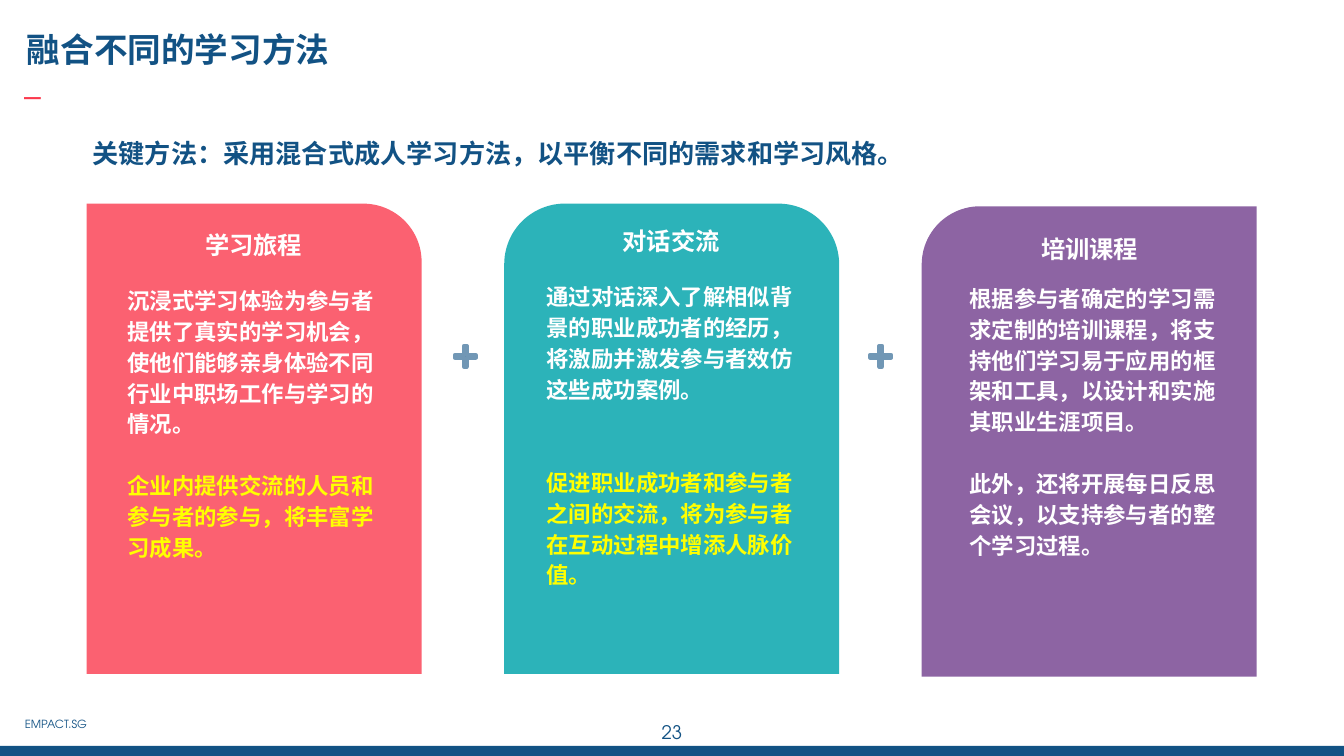
import pptx
import pptx.dml.color
import pptx.enum.shapes
import pptx.enum.text
import pptx.oxml.ns
import pptx.util
from lxml import etree

Cm, Pt = pptx.util.Cm, pptx.util.Pt
RGBColor = pptx.dml.color.RGBColor
Shape = pptx.enum.shapes.MSO_SHAPE
Align = pptx.enum.text.PP_ALIGN
Anchor = pptx.enum.text.MSO_ANCHOR

NAVY = RGBColor(0x12, 0x52, 0x84)
STEEL = RGBColor(0x71, 0x97, 0xB5)
RED = RGBColor(0xFB, 0x39, 0x4D)
CORAL = RGBColor(0xFB, 0x61, 0x71)
TEAL = RGBColor(0x2C, 0xB3, 0xB9)
PURPLE = RGBColor(0x8D, 0x64, 0xA3)
WHITE = RGBColor(0xFF, 0xFF, 0xFF)
YELLOW = RGBColor(0xFF, 0xFF, 0x00)

CHINESE = "Noto Sans CJK SC"
LATIN = "TeX Gyre Adventor"
BODY_LINE = 16.6

# Boxes are (left, top, width, height) in cm; heading and body are relative to the card.
CARDS = [
    dict(box=(1.64, 3.85, 6.33, 8.89), outline=Shape.ROUND_1_RECTANGLE,
         corners=[0.174], flip=False, color=CORAL,
         heading="学习旅程", heading_box=(0.64, 0.26, 5.03, 0.99), anchor=Anchor.TOP,
         body_box=(0.52, 1.25, 5.38, 7.29), blank_lines=1, second_color=YELLOW,
         body=["沉浸式学习体验为参与者提供了真实的学习机会，使他们能够亲身体验不同行业中职场工作与学习的情况。",
               "企业内提供交流的人员和参与者的参与，将丰富学习成果。"]),
    dict(box=(9.53, 3.85, 6.33, 8.89), outline=Shape.ROUND_2_SAME_RECTANGLE,
         corners=[0.181, 0], flip=False, color=TEAL,
         heading="对话交流", heading_box=(0.83, 0.21, 4.65, 0.99), anchor=Anchor.MIDDLE,
         body_box=(0.55, 1.18, 5.26, 7.34), blank_lines=2, second_color=YELLOW,
         body=["通过对话深入了解相似背景的职业成功者的经历，将激励并激发参与者效仿这些成功案例。",
               "促进职业成功者和参与者之间的交流，将为参与者在互动过程中增添人脉价值。"]),
    dict(box=(17.42, 3.9, 6.33, 8.89), outline=Shape.ROUND_1_RECTANGLE,
         corners=[0.174], flip=True, color=PURPLE,
         heading="培训课程", heading_box=(0.72, 0.26, 4.9, 1.07), anchor=Anchor.MIDDLE,
         body_box=(0.65, 1.16, 5.26, 7.26), blank_lines=1, second_color=WHITE,
         body=["根据参与者确定的学习需求定制的培训课程，将支持他们学习易于应用的框架和工具，以设计和实施其职业生涯项目。",
               "此外，还将开展每日反思会议，以支持参与者的整个学习过程。"]),
]


def lengths(box):
    return [Cm(value) for value in box]


def inside(outer, inner):
    """Turn a box relative to outer into a page box."""
    return (outer[0] + inner[0], outer[1] + inner[1], inner[2], inner[3])


def set_frame(frame, margin=0.25, anchor=Anchor.TOP):
    frame.word_wrap = True
    frame.auto_size = pptx.enum.text.MSO_AUTO_SIZE.NONE
    frame.margin_left = frame.margin_right = Cm(margin)
    frame.margin_top = frame.margin_bottom = Cm(margin)
    frame.vertical_anchor = anchor


def format_para(para, size, color, font=CHINESE, bold=True, align=Align.LEFT):
    para.alignment = align
    for span in para.runs:
        span.font.size = Pt(size)
        span.font.bold = bold
        span.font.name = font
        span.font.color.rgb = color
        east_asian = etree.SubElement(span.font._element, pptx.oxml.ns.qn("a:ea"))
        east_asian.set("typeface", font)


def add_filled(shapes, outline, box, color):
    shape = shapes.add_shape(outline, *lengths(box))
    shape.shadow.inherit = False
    shape.fill.solid()
    shape.fill.fore_color.rgb = color
    shape.line.fill.background()
    return shape


def add_label(page, box, text, size, color, margin=0, **style):
    label = page.shapes.add_textbox(*lengths(box))
    set_frame(label.text_frame, margin)
    label.text_frame.text = text
    format_para(label.text_frame.paragraphs[0], size, color, **style)


def add_title(page, box, text):
    title = page.shapes.title
    title.left, title.top, title.width, title.height = lengths(box)
    set_frame(title.text_frame)
    title.text_frame.text = text
    para = title.text_frame.paragraphs[0]
    format_para(para, 18, NAVY)
    para.line_spacing = 1.0


def add_footer(page, box):
    left, top, width, height = box
    plain = dict(font=LATIN, bold=False)
    add_label(page, (left + 11.94, top, 1.52, 1.09), "23", 10, NAVY,
              margin=0.25, align=Align.CENTER, **plain)
    add_label(page, (left + 0.47, top + 0.19, 1.85, 0.3), "EMPACT.SG", 6, NAVY, **plain)
    add_filled(page.shapes, Shape.RECTANGLE, (left, top + height - 0.19, width, 0.19), NAVY)


def add_card(page, card):
    shapes = page.shapes.add_group_shape().shapes
    panel = add_filled(shapes, card["outline"], card["box"], card["color"])
    for index, corner in enumerate(card["corners"]):
        panel.adjustments[index] = corner
    if card["flip"]:
        panel._element.spPr.find(pptx.oxml.ns.qn("a:xfrm")).set("flipH", "1")

    heading = add_filled(shapes, Shape.RECTANGLE,
                         inside(card["box"], card["heading_box"]), card["color"])
    set_frame(heading.text_frame, anchor=card["anchor"])
    heading.text_frame.text = card["heading"]
    format_para(heading.text_frame.paragraphs[0], 13, WHITE, align=Align.CENTER)

    body = add_filled(shapes, Shape.RECTANGLE,
                      inside(card["box"], card["body_box"]), card["color"])
    set_frame(body.text_frame)
    body.text_frame.text = "\n".join(card["body"])
    first, second = body.text_frame.paragraphs
    for para, color in ((first, WHITE), (second, card["second_color"])):
        format_para(para, 12, color)
        para.line_spacing = 1.15
    second.space_before = Pt(BODY_LINE * card["blank_lines"])


def add_plus(page, box):
    shapes = page.shapes.add_group_shape().shapes
    add_filled(shapes, Shape.OVAL, box, WHITE)
    plus = add_filled(shapes, Shape.MATH_PLUS, inside(box, (0.15, 0.15, 0.53, 0.53)), NAVY)
    plus.adjustments[0] = 0.099
    plus.line.color.rgb = STEEL
    plus.line.width = Pt(2.25)


def main():
    deck = pptx.Presentation()
    deck.slide_width, deck.slide_height = Cm(25.4), Cm(14.29)
    page = deck.slides.add_slide(deck.slide_layouts[5])

    add_footer(page, (0, 13.37, 25.4, 0.92))
    add_label(page, (0.47, 1.4, 8.43, 0.76), "–", 18, RED, font=LATIN, bold=False)
    add_title(page, (0.26, 0.3, 21.92, 0.86), "融合不同的学习方法")
    add_label(page, (1.5, 2.34, 22.4, 1.12),
              "关键方法：采用混合式成人学习方法，以平衡不同的需求和学习风格。",
              14, NAVY, margin=0.25)
    for card in CARDS:
        add_card(page, card)
    for left in (8.38, 16.23):
        add_plus(page, (left, 6.32, 0.84, 0.84))

    deck.save("out.pptx")


if __name__ == "__main__":
    main()
